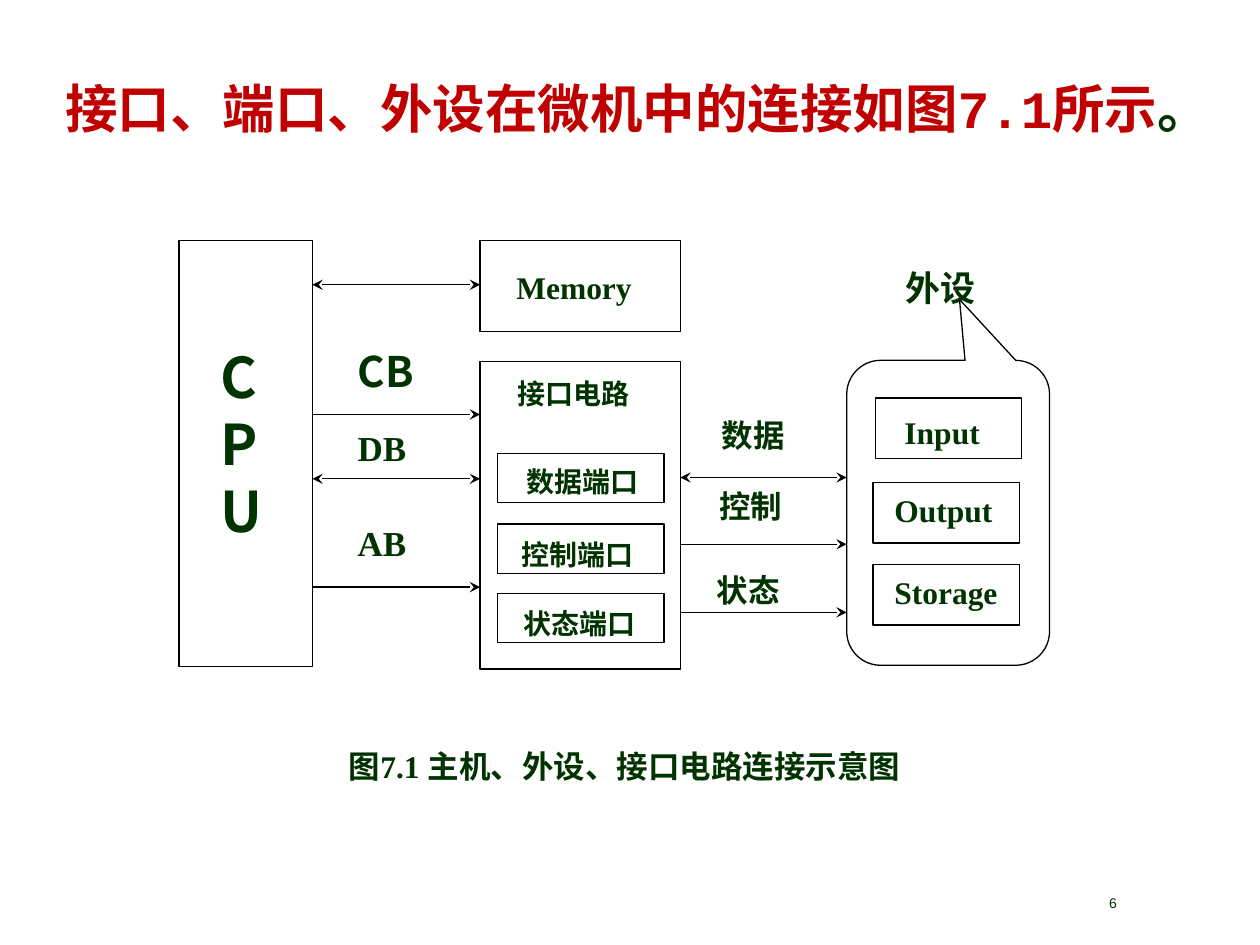
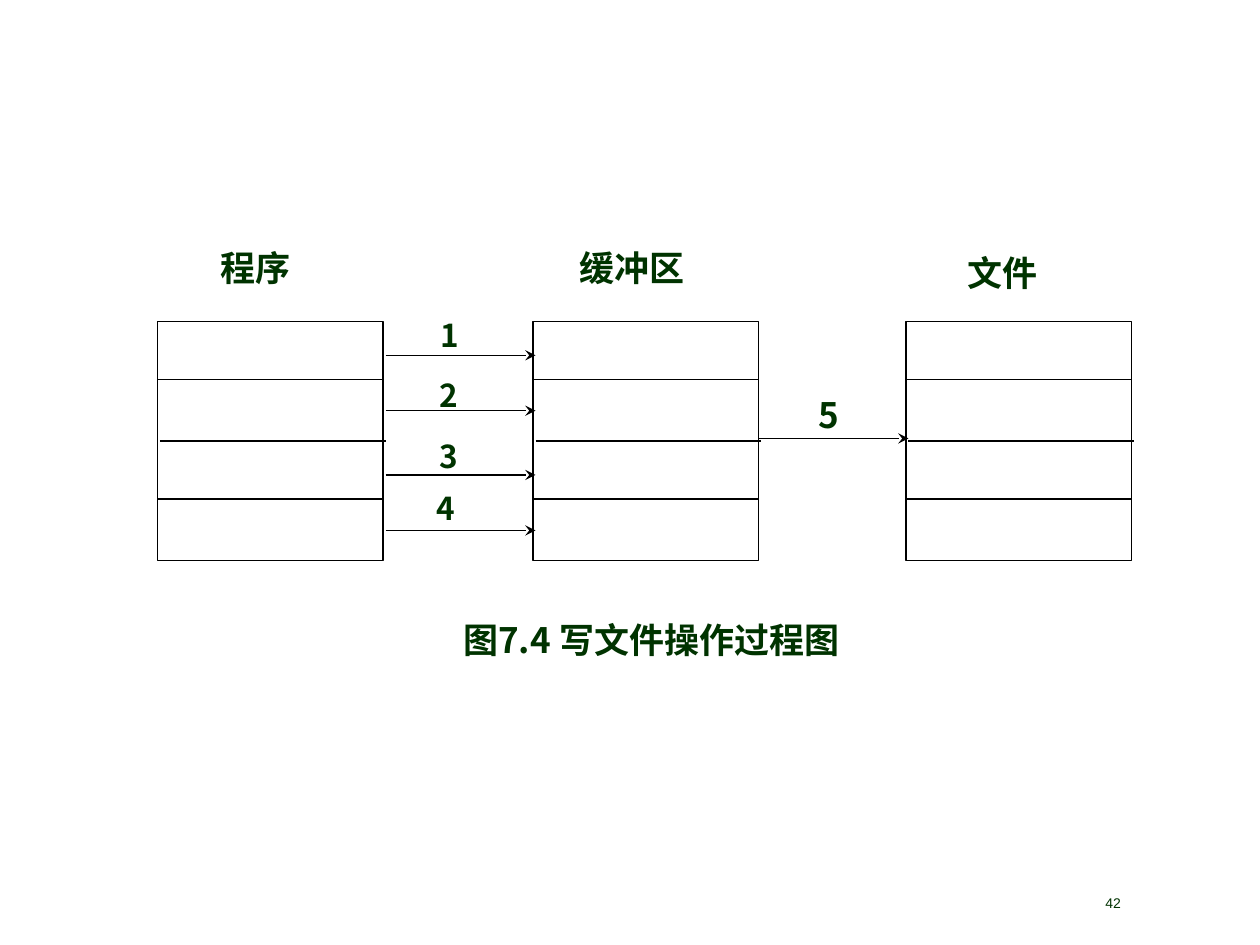
from dataclasses import dataclass

import lxml.etree
import pptx
import pptx.dml.color
import pptx.enum.shapes
import pptx.enum.text
import pptx.oxml.ns
import pptx.util
from pptx.util import Inches

COLORS = {"text": "003300", "title": "C00000", "line": "000000", "fill": "FFFFFF"}
SERIF, CJK, MONO, SANS = "Times New Roman", "Noto Sans CJK SC", "Courier New", "Arial"
INSET_X, INSET_Y = 0.1, 0.05
LINE_HEIGHT = 1.2  # in ems
DESCENT = {SERIF: 0.22, CJK: 0.29, MONO: 0.29, SANS: 0.21}  # in ems
SHAPES = pptx.enum.shapes.MSO_SHAPE
ALIGN = pptx.enum.text.PP_ALIGN


@dataclass(frozen=True)
class Label:
    """Text whose first line stands on the given baseline; lengths in inches."""
    text: str
    left: float
    baseline: float
    width: float
    size: float = 18
    font: str = SERIF
    bold: bool = True
    color: str = "text"
    align: ALIGN = ALIGN.LEFT


@dataclass(frozen=True)
class Box:
    left: float
    top: float
    width: float
    height: float
    kind: SHAPES = SHAPES.RECTANGLE


@dataclass(frozen=True)
class Arrow:
    """Horizontal line; arrowheads at its end, or at both ends."""
    start: float
    end: float
    y: float
    both_ways: bool = False
    headed: bool = True


def rgb(name: str) -> pptx.dml.color.RGBColor:
    return pptx.dml.color.RGBColor.from_string(COLORS[name])


def add_child(parent, tag: str, **attributes: str) -> None:
    lxml.etree.SubElement(parent, pptx.oxml.ns.qn(tag), **attributes)


def format_run(run, label: Label) -> None:
    run.font.name = label.font
    run.font.size = pptx.util.Pt(label.size)
    run.font.bold = label.bold
    run.font.color.rgb = rgb(label.color)
    add_child(run.font._element, "a:ea", typeface=CJK)


def add_label(slide, label: Label):
    has_cjk = not label.text.isascii()
    descent = DESCENT[CJK if has_cjk else label.font]
    em = label.size / 72
    lines = label.text.count("\n") + 1
    top = label.baseline - INSET_Y - (LINE_HEIGHT - descent) * em
    shape = slide.shapes.add_textbox(
        Inches(label.left), Inches(top), Inches(label.width),
        Inches(lines * LINE_HEIGHT * em + 2 * INSET_Y))
    frame = shape.text_frame
    frame.word_wrap = True
    frame.margin_left = frame.margin_right = Inches(INSET_X)
    frame.margin_top = frame.margin_bottom = Inches(INSET_Y)
    frame.text = label.text
    for paragraph in frame.paragraphs:
        paragraph.alignment = label.align
        paragraph.line_spacing = pptx.util.Pt(LINE_HEIGHT * label.size)
        for run in paragraph.runs:
            format_run(run, label)
    return shape


def add_box(slide, box: Box):
    shape = slide.shapes.add_shape(
        box.kind, Inches(box.left), Inches(box.top), Inches(box.width), Inches(box.height))
    shape.shadow.inherit = False
    shape.fill.solid()
    shape.fill.fore_color.rgb = rgb("fill")
    shape.line.color.rgb = rgb("line")
    shape.line.width = pptx.util.Pt(0.75)
    return shape


def add_arrow(slide, arrow: Arrow) -> None:
    connector = slide.shapes.add_connector(
        pptx.enum.shapes.MSO_CONNECTOR.STRAIGHT,
        Inches(arrow.start), Inches(arrow.y), Inches(arrow.end), Inches(arrow.y))
    connector.line.color.rgb = rgb("line")
    connector.line.width = pptx.util.Pt(0.75)
    line = connector.line._get_or_add_ln()
    if arrow.both_ways:
        add_child(line, "a:headEnd", type="stealth")
    if arrow.headed:
        add_child(line, "a:tailEnd", type="stealth")
    add_child(connector._element.spPr, "a:effectLst")


def add_title(slide, text: str, ending: str) -> None:
    """Red hanging title whose closing mark keeps the text colour."""
    label = Label(text, 0.42, 0.98, 9, 30, MONO, color="title")
    paragraph = add_label(slide, label).text_frame.paragraphs[0]
    properties = paragraph._p.get_or_add_pPr()
    properties.set("marL", str(Inches(0.38)))
    properties.set("indent", str(-Inches(0.38)))
    run = paragraph.add_run()
    run.text = ending
    format_run(run, Label(ending, 0, 0, 0, 30, MONO))


def add_page_number(slide, number: int) -> None:
    add_label(slide, Label(str(number), 7.67, 7.21, 2.33, 8, SANS, False, align=ALIGN.CENTER))


def draw(slide, boxes: list[Box], arrows: list[Arrow], labels: list[Label]) -> None:
    for box in boxes:
        add_box(slide, box)
    for arrow in arrows:
        add_arrow(slide, arrow)
    for label in labels:
        add_label(slide, label)


def build_connection_slide(slide) -> None:
    add_title(slide, "接口、端口、外设在微机中的连接如图7.1所示", "。")
    callout = add_box(slide, Box(6.72, 2.86, 1.61, 2.42, SHAPES.ROUNDED_RECTANGULAR_CALLOUT))
    for index, value in enumerate((0.056, -0.7, 0.167)):
        callout.adjustments[index] = value

    cpu_right, interface_left, interface_right, devices_left = 2.48, 3.81, 5.4, 6.72
    boxes = [
        Box(1.42, 1.91, 1.06, 3.38),
        Box(interface_left, 1.91, 1.59, 0.72),
        Box(interface_left, 2.87, 1.59, 2.44),
    ]
    boxes += [Box(3.95, top, 1.32, 0.39) for top in (3.6, 4.16, 4.71)]
    boxes += [Box(left, top, 1.16, 0.48)
              for left, top in ((6.95, 3.16), (6.93, 3.83), (6.93, 4.48))]

    arrows = [Arrow(cpu_right, interface_left, y, both_ways)
              for y, both_ways in ((2.26, True), (3.29, False), (3.8, True), (4.66, False))]
    arrows += [Arrow(interface_right, devices_left, y, both_ways)
               for y, both_ways in ((3.79, True), (4.32, False), (4.86, False))]

    labels = [
        Label("C\nP\nU", 1.65, 3.12, 0.8, 32, CJK),
        Label("Memory", 4, 2.37, 1.66),
        Label("CB", 2.74, 3.05, 0.97, 24, CJK),
        Label("DB", 2.74, 3.66, 0.97, 20),
        Label("AB", 2.74, 4.41, 0.97, 20),
        Label("接口电路", 4.01, 3.19, 1.33, 16),
        Label("数据端口", 4.08, 3.89, 1.5, 16),
        Label("控制端口", 4.04, 4.47, 1.5, 16),
        Label("状态端口", 4.06, 5.02, 1.5, 16),
        Label("数据", 5.63, 3.53, 0.97),
        Label("控制", 5.61, 4.09, 0.97),
        Label("状态", 5.59, 4.76, 0.97),
        Label("Input", 7.08, 3.52, 1.42),
        Label("Output", 7, 4.14, 1.83),
        Label("Storage", 7, 4.79, 1.83),
        Label("外设", 7.09, 2.37, 1.06, 20),
        Label("图7.1 主机、外设、接口电路连接示意图", 2.67, 6.16, 5.83),
    ]
    draw(slide, boxes, arrows, labels)
    add_page_number(slide, 6)


def build_write_slide(slide) -> None:
    column_lefts, column_width = (1.25, 4.23, 7.19), 1.79
    boxes = [Box(left, 2.55, column_width, 1.9) for left in column_lefts]
    arrows = [Arrow(left + shift, left + shift + column_width, y, headed=False)
              for left in column_lefts
              for shift, y in ((0, 3.01), (0.02, 3.5), (0, 3.96))]
    arrows += [Arrow(3.06, 4.25, y) for y in (2.82, 3.26, 3.77, 4.21)]
    arrows.append(Arrow(6.02, 7.21, 3.48))

    labels = [
        Label("程序", 1.65, 2.21, 1.09, 20, CJK),
        Label("缓冲区", 4.5, 2.21, 1.49, 20, CJK),
        Label("文件", 7.58, 2.25, 1.19, 20, CJK),
    ]
    steps = ((3.4, 2.74), (3.39, 3.21), (3.39, 3.7), (3.37, 4.11))
    labels += [Label(str(number), left, baseline, 0.6, font=CJK)
               for number, (left, baseline) in enumerate(steps, 1)]
    labels += [
        Label("5", 6.4, 3.38, 0.6, 20, CJK),
        Label("图7.4 写文件操作过程图", 2.34, 5.16, 5.66, 20, CJK, align=ALIGN.CENTER),
    ]
    draw(slide, boxes, arrows, labels)
    add_page_number(slide, 42)


def main() -> None:
    presentation = pptx.Presentation()
    presentation.slide_width = Inches(10)
    presentation.slide_height = Inches(7.5)
    blank = presentation.slide_layouts[6]
    for build in (build_connection_slide, build_write_slide):
        build(presentation.slides.add_slide(blank))
    presentation.save("out.pptx")


if __name__ == "__main__":
    main()
